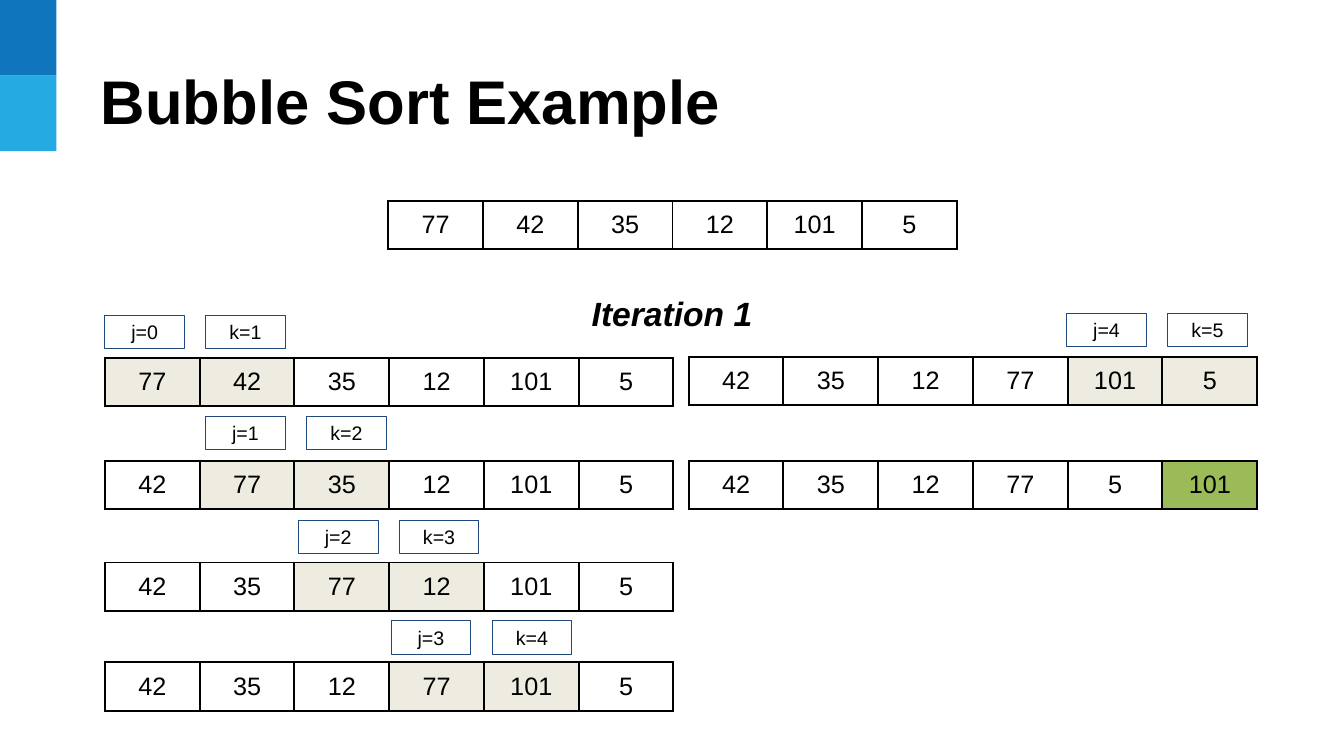
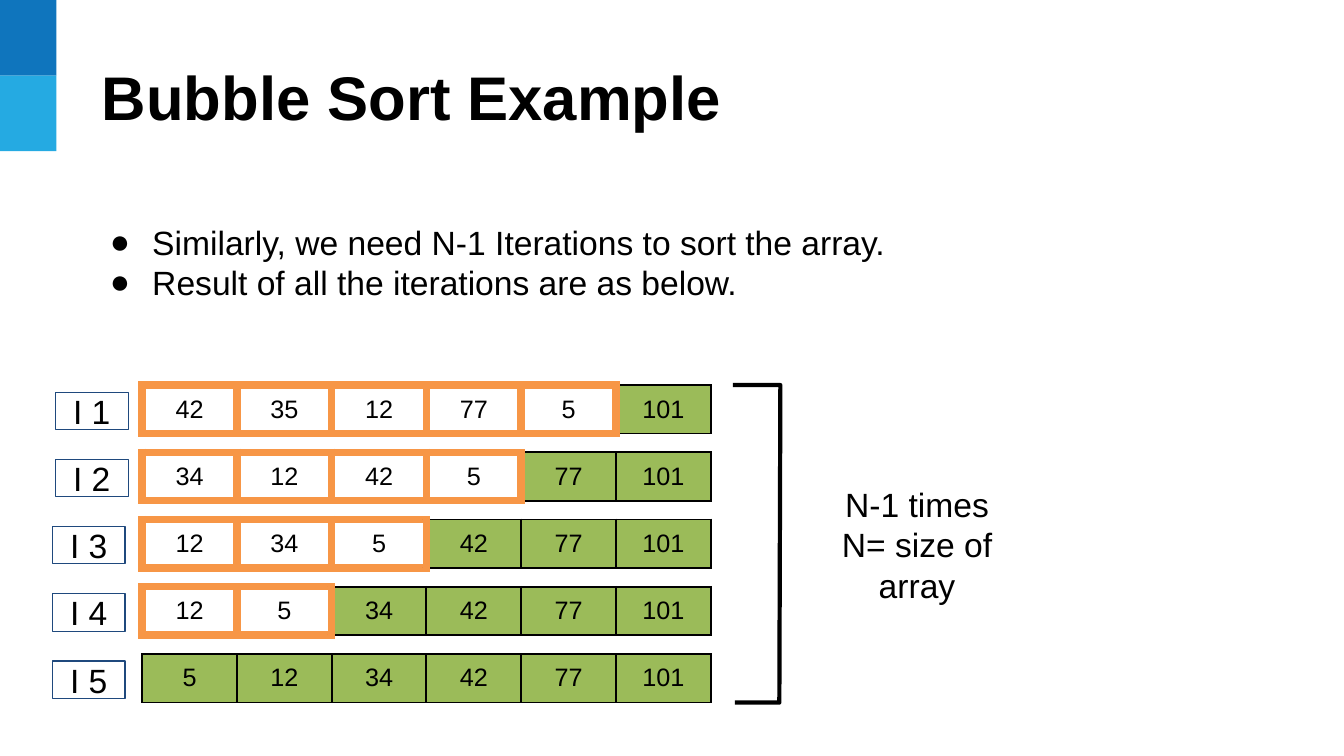
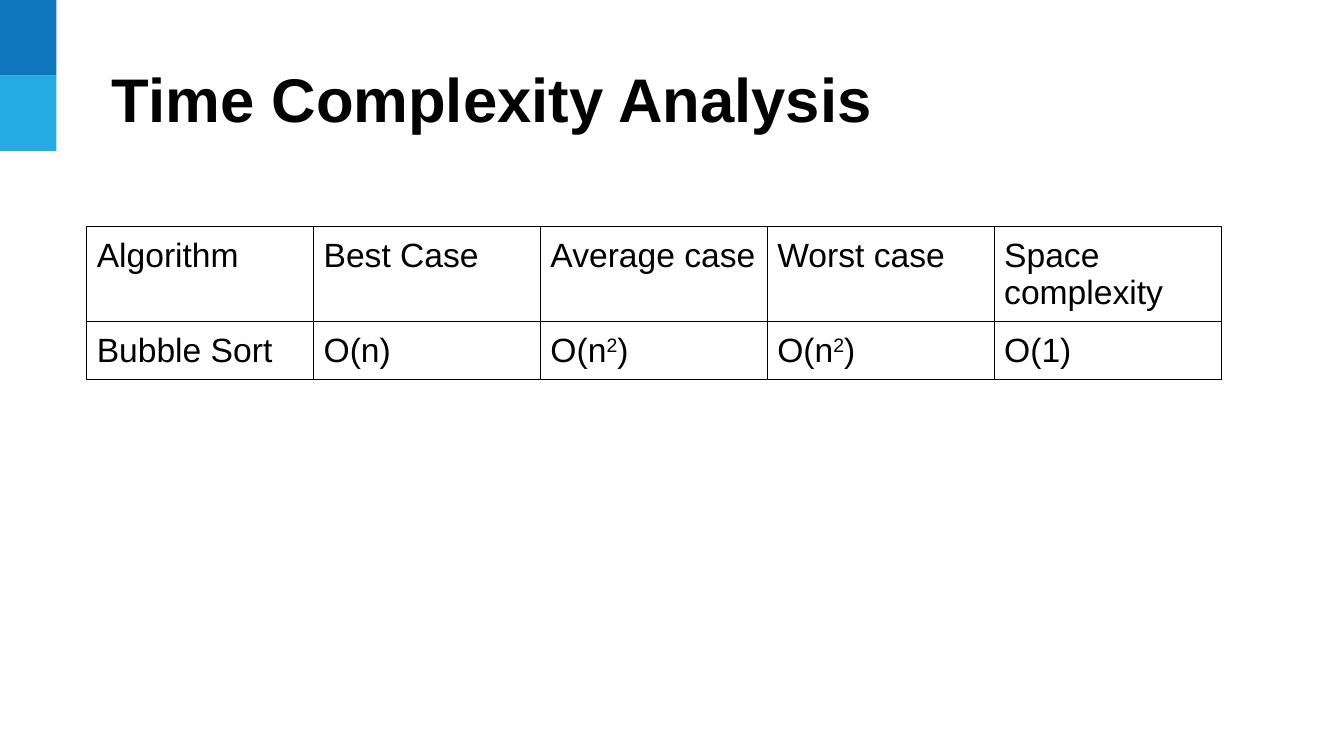
from lxml.etree import SubElement
from pptx import Presentation
from pptx.dml.color import RGBColor
from pptx.enum.shapes import MSO_SHAPE
from pptx.enum.text import MSO_ANCHOR, MSO_AUTO_SIZE, PP_ALIGN
from pptx.oxml.ns import qn
from pptx.util import Inches, Pt

FONT = "Arial"
COLORS = {
    "text": "000000",
    "white": "FFFFFF",
    "band_dark": "0F75BD",
    "band_light": "25AAE2",
    "tag_line": "1F497D",
    "compared": "EEECE1",
    "sorted": "9BBB59",
    "unsorted_line": "F79646",
}
TITLE_ONLY, TITLE_AND_BODY = 5, 1
CELL_W, ROW_H = 0.94, 0.42
INSET = 0.1


def rgb(name):
    return RGBColor.from_string(COLORS[name])


def box(x, y, w, h):
    return Inches(x), Inches(y), Inches(w), Inches(h)


# ---- Text ----
def add_run(p, text, size, bold=False, italic=False):
    r = p.add_run()
    r.text = text
    r.font.name, r.font.size = FONT, Pt(size)
    r.font.bold, r.font.italic = bold, italic
    r.font.color.rgb = rgb("text")
    return r


def set_insets(tf, side, top):
    tf.margin_left = tf.margin_right = Inches(side)
    tf.margin_top = tf.margin_bottom = Inches(top)


def add_lines(tf, lines, size, align=PP_ALIGN.LEFT, **style):
    for i, line in enumerate(lines):
        p = tf.add_paragraph() if i else tf.paragraphs[0]
        p.alignment = align
        p.space_before = Pt(0)
        add_run(p, line, size, **style)


def set_bullet(p, char=None):
    pPr = p._p.get_or_add_pPr()
    pPr.set("marL", str(Inches(0.5 if char else 0)))
    pPr.set("indent", str(Inches(-0.42 if char else 0)))
    if char:
        color = SubElement(pPr, qn("a:buClr"))
        SubElement(color, qn("a:srgbClr"), val=COLORS["text"])
        SubElement(pPr, qn("a:buChar"), char=char)
    else:
        SubElement(pPr, qn("a:buNone"))


def fill_placeholder(ph, at, lines, size, anchor=MSO_ANCHOR.TOP, top=0.05,
                     **style):
    ph.left, ph.top, ph.width, ph.height = box(*at)
    tf = ph.text_frame
    tf.word_wrap, tf.auto_size = True, MSO_AUTO_SIZE.NONE
    tf.vertical_anchor = anchor
    set_insets(tf, INSET, top)
    add_lines(tf, lines, size, **style)
    return tf


# ---- Shapes ----
def add_box(s, at, fill, line=None, lines=(), size=14):
    sp = s.shapes.add_shape(MSO_SHAPE.RECTANGLE, *box(*at))
    sp.shadow.inherit = False
    sp.fill.solid()
    sp.fill.fore_color.rgb = rgb(fill)
    if line:
        sp.line.color.rgb = rgb(line)
        sp.line.width = Pt(0.75)
    else:
        sp.line.fill.background()
    tf = sp.text_frame
    tf.word_wrap, tf.vertical_anchor = True, MSO_ANCHOR.MIDDLE
    set_insets(tf, INSET, INSET)
    add_lines(tf, lines, size, PP_ALIGN.CENTER)
    return sp


def add_bracket(s, x, y, w, h):
    points = [(x + w, y), (x + w - 0.01, y + h), (x + 0.02, y + h)]
    builder = s.shapes.build_freeform(Inches(x), Inches(y))
    builder.add_line_segments([(Inches(a), Inches(b)) for a, b in points],
                              close=False)
    sp = builder.convert_to_shape()
    sp.shadow.inherit = False
    sp.fill.background()
    sp.line.color.rgb = rgb("text")
    sp.line.width = Pt(3)


# ---- Tables ----
def add_grid(s, x, y, rows, cols, col_w):
    frame = s.shapes.add_table(rows, cols,
                               *box(x, y, cols * col_w, rows * ROW_H))
    table = frame.table
    table.first_row = table.horz_banding = False
    for col in table.columns:
        col.width = Inches(col_w)
    for row in table.rows:
        row.height = Inches(ROW_H)
    return table


def style_cell(cell, borders, fill="white"):
    """Borders maps each of L, R, T, B to (colour name, points)."""
    tcPr = cell._tc.get_or_add_tcPr()
    for side in "LRTB":
        color, width = borders[side]
        ln = SubElement(tcPr, qn("a:ln" + side), w=str(Pt(width)))
        solid = SubElement(ln, qn("a:solidFill"))
        SubElement(solid, qn("a:srgbClr"), val=COLORS[color])
    cell.fill.solid()
    cell.fill.fore_color.rgb = rgb(fill)
    set_insets(cell, INSET, INSET)


def add_array(s, x, y, values, fills=None, unsorted=0):
    """One row of numbers; the first unsorted cells get a thick outline."""
    thin, thick = ("text", 1.5), ("unsorted_line", 6)
    table = add_grid(s, x, y, 1, len(values), CELL_W)
    for i, value in enumerate(values):
        cell = table.cell(0, i)
        borders = dict.fromkeys("LRTB", thick if i < unsorted else thin)
        if 0 < i == unsorted:
            borders["L"] = thick
        style_cell(cell, borders, (fills or {}).get(i, "white"))
        p = cell.text_frame.paragraphs[0]
        p.alignment = PP_ALIGN.CENTER
        add_run(p, str(value), 18)


# ---- Shared slide parts ----
def add_bands(prs, s):
    """Draw the corner bands and move them to the slide master."""
    for i, color in enumerate(("band_dark", "band_light")):
        band = add_box(s, (0, i * 0.75, 0.56, 0.75), color)
        band.name = f"Corner band {i + 1}"
        band._element.nvSpPr.cNvPr.set("id", str(100 + i))
        prs.slide_master.shapes._spTree.append(band._element)


def new_slide(prs, layout, title, x, y):
    s = prs.slides.add_slide(prs.slide_layouts[layout])
    fill_placeholder(s.shapes.title, (x, y, 8.75, 0.9), [title], 44,
                     MSO_ANCHOR.MIDDLE, bold=True)
    return s


# ---- Slide 1 ----
def add_step(s, x, y, values, j, tag_x, tag_y):
    """An array with the compared pair shaded and its index tags above."""
    add_array(s, x, y, values, {j: "compared", j + 1: "compared"})
    for i, text in enumerate((f"j={j}", f"k={j + 1}")):
        add_box(s, (tag_x + i, tag_y, 0.79, 0.33), "white", "tag_line", [text])


def first_iteration_slide(prs):
    s = new_slide(prs, TITLE_AND_BODY, "Bubble Sort Example", 0.9, 0.54)
    tf = fill_placeholder(s.placeholders[1], (4.33, 2.86, 4.67, 0.5),
                          ["Iteration 1"], 24, align=PP_ALIGN.CENTER,
                          bold=True, italic=True)
    set_bullet(tf.paragraphs[0])

    values = [77, 42, 35, 12, 101, 5]
    add_array(s, 3.85, 1.99, values)
    left, right = 1.04, 6.83
    steps = [  # row left, row top, tag left, tag top
        (left, 3.55, 1.04, 3.13),
        (left, 4.57, 2.04, 4.13),
        (left, 5.58, 2.96, 5.16),
        (left, 6.57, 3.88, 6.16),
        (right, 3.54, 10.58, 3.11),
    ]
    for j, (x, y, tag_x, tag_y) in enumerate(steps):
        add_step(s, x, y, values, j, tag_x, tag_y)
        if values[j] > values[j + 1]:
            values[j], values[j + 1] = values[j + 1], values[j]
    add_array(s, right, 4.57, values, {5: "sorted"})
    return s


# ---- Slide 2 ----
def add_iterations(s, x, y, rows):
    for i, values in enumerate(rows):
        top = y + i * 0.667
        unsorted = len(values) - 1 - i if i < len(rows) - 1 else 0
        fills = {k: "sorted" for k in range(unsorted, len(values))}
        add_array(s, x, top, values, fills, unsorted)
        tag_x = x - (0.86 if i < 2 else 0.89)
        add_box(s, (tag_x, top + 0.07, 0.72, 0.37), "white", "tag_line",
                [f"I {i + 1}"], 24)


def all_iterations_slide(prs):
    s = new_slide(prs, TITLE_AND_BODY, "Bubble Sort Example", 0.91, 0.5)
    tf = fill_placeholder(
        s.placeholders[1], (0.91, 2.1, 10.15, 1.01),
        ["Similarly, we need N-1 Iterations to sort the array.",
         "Result of all the iterations are as below."], 24, top=INSET)
    for p in tf.paragraphs:
        set_bullet(p, "●")

    add_iterations(s, 1.41, 3.82, [
        [42, 35, 12, 77, 5, 101],
        [34, 12, 42, 5, 77, 101],
        [12, 34, 5, 42, 77, 101],
        [12, 5, 34, 42, 77, 101],
        [5, 12, 34, 42, 77, 101],
    ])
    add_bracket(s, 7.27, 3.82, 0.47, 3.15)
    add_box(s, (7.87, 4.62, 2.45, 1.56), "white", "white",
            ["N-1 times", "N= size of array"], 24)


# ---- Slide 3 ----
def add_complexity_table(s, x, y, rows):
    table = add_grid(s, x, y, len(rows), len(rows[0]), 2.25)
    for i, row in enumerate(rows):
        for k, text in enumerate(row):
            cell = table.cell(i, k)
            style_cell(cell, dict.fromkeys("LRTB", ("text", 0.75)))
            p = cell.text_frame.paragraphs[0]
            # A caret marks a one-digit exponent
            base, _, rest = text.partition("^")
            add_run(p, base, 24)
            if rest:
                exponent = add_run(p, rest[0], 24)
                exponent.font._element.set("baseline", "30000")
                add_run(p, rest[1:], 24)


def complexity_slide(prs):
    s = new_slide(prs, TITLE_ONLY, "Time Complexity Analysis", 1.01, 0.52)
    add_complexity_table(s, 0.86, 2.25, [
        ["Algorithm", "Best Case", "Average case", "Worst case",
         "Space complexity"],
        ["Bubble Sort", "O(n)", "O(n^2)", "O(n^2)", "O(1)"],
    ])


def main():
    prs = Presentation()
    prs.slide_width, prs.slide_height = Inches(13.33), Inches(7.5)
    s = first_iteration_slide(prs)
    add_bands(prs, s)
    all_iterations_slide(prs)
    complexity_slide(prs)
    prs.save("out.pptx")


if __name__ == "__main__":
    main()
